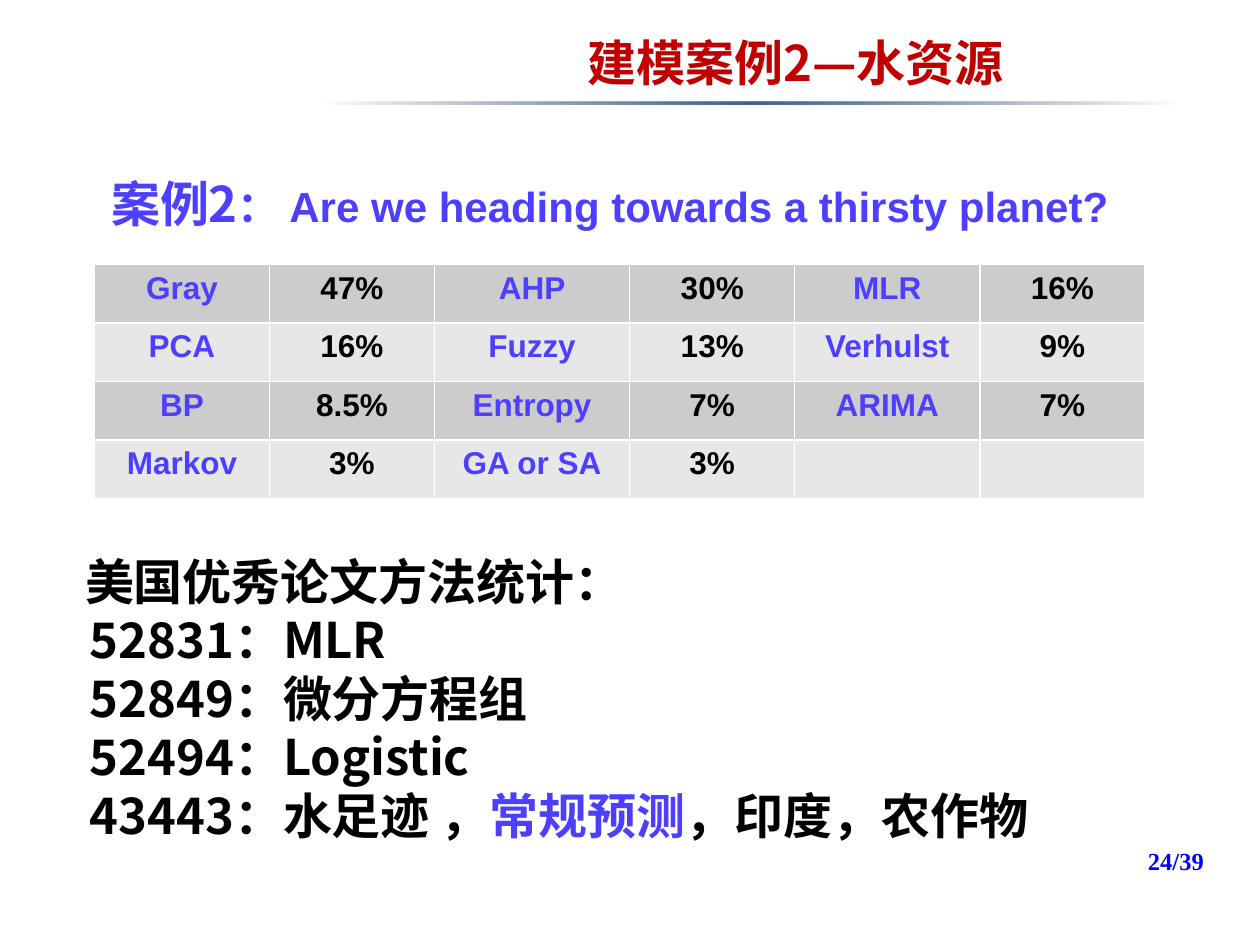
from lxml.etree import SubElement
from pptx import Presentation
from pptx.dml.color import RGBColor
from pptx.enum.shapes import MSO_SHAPE as Shape
from pptx.enum.text import MSO_ANCHOR as Anchor, PP_ALIGN as Align
from pptx.oxml import parse_xml
from pptx.oxml.ns import nsdecls, qn
from pptx.util import Pt

CJK, LATIN, SERIF = "Noto Sans CJK SC", "Arial", "Times New Roman"
VIOLET, BLACK, RED, BLUE = "4D3FFF", "000000", "C00000", "0000FF"
ROW_FILLS = ("CCCCCC", "E7E7E7")
COLUMN_WIDTHS = (100, 94.3, 111.6, 94.3, 105.8, 94.3)
METHOD_SHARES = (
    ("Gray", "47%", "AHP", "30%", "MLR", "16%"),
    ("PCA", "16%", "Fuzzy", "13%", "Verhulst", "9%"),
    ("BP", "8.5%", "Entropy", "7%", "ARIMA", "7%"),
    ("Markov", "3%", "GA or SA", "3%", "", ""),
)
PAPERS = (
    (("52831：MLR", BLACK),),
    (("52849：微分方程组", BLACK),),
    (("52494：Logistic", BLACK),),
    (("43443：水足迹 ，", BLACK), ("常规预测", VIOLET), ("，印度，农作物", BLACK)),
)


def color(hex_code):
    return RGBColor.from_string(hex_code)


def style_run(run, size, face, hex_code):
    font = run.font
    font.size, font.name, font.bold = Pt(size), face, True
    font.color.rgb = color(hex_code)
    for tag in ("a:ea", "a:cs"):
        SubElement(run._r.get_or_add_rPr(), qn(tag)).set("typeface", face)


def add_run(paragraph, text, size, face, hex_code):
    run = paragraph.add_run()
    run.text = text
    style_run(run, size, face, hex_code)


def place(box, left, top, width, height, anchor=Anchor.MIDDLE):
    """Move a text shape and give it a wrapping frame without insets."""
    box.left, box.top, box.width, box.height = map(Pt, (left, top, width, height))
    frame = box.text_frame
    frame.word_wrap = True
    frame.vertical_anchor = anchor
    frame.margin_left = frame.margin_right = 0
    frame.margin_top = frame.margin_bottom = 0
    return frame


def set_indent(paragraph, left):
    """Indent the whole paragraph and drop its bullet."""
    properties = paragraph._p.get_or_add_pPr()
    properties.set("marL", str(Pt(left)))
    properties.set("indent", "0")
    SubElement(properties, qn("a:buNone"))


def add_title(slide):
    frame = place(slide.shapes.title, 234.5, 15, 440, 41)
    title = frame.paragraphs[0]
    title.text = "建模案例2—水资源"
    title.alignment = Align.CENTER
    style_run(title.runs[0], 28, CJK, RED)


def add_title_rule(slide):
    rule = slide.shapes.add_shape(Shape.RECTANGLE, Pt(185), Pt(58), Pt(487.5), Pt(1.75))
    rule.shadow.inherit = False
    rule.line.fill.background()
    stops = "".join(
        f'<a:gs pos="{position}"><a:srgbClr val="{tint}"><a:alpha val="{alpha}"/></a:srgbClr></a:gs>'
        for position, tint, alpha in ((0, "2E4564", 0), (50000, "40608C", 100000), (100000, "2E4564", 0))
    )
    fade = parse_xml(
        f'<a:gradFill {nsdecls("a")}><a:gsLst>{stops}</a:gsLst><a:lin ang="0" scaled="1"/></a:gradFill>'
    )
    rule._element.spPr.find(qn("a:prstGeom")).addnext(fade)


def add_case_heading(slide):
    frame = place(slide.placeholders[1], 63.5, 92, 640, 48)
    heading = frame.paragraphs[0]
    heading.space_before = Pt(0)
    set_indent(heading, 0)
    add_run(heading, "案例2", 28, CJK, VIOLET)
    add_run(heading, "： ", 24, CJK, VIOLET)
    add_run(heading, "Are we heading towards a thirsty planet?", 24, LATIN, VIOLET)


def add_share_table(slide):
    row_height = 33.4
    table = slide.shapes.add_table(
        len(METHOD_SHARES), len(COLUMN_WIDTHS), Pt(54), Pt(151.2),
        Pt(sum(COLUMN_WIDTHS)), Pt(row_height * len(METHOD_SHARES)),
    ).table
    table.first_row = False
    for column, width in zip(table.columns, COLUMN_WIDTHS):
        column.width = Pt(width)
    for row_index, entries in enumerate(METHOD_SHARES):
        table.rows[row_index].height = Pt(row_height)
        for column_index, entry in enumerate(entries):
            cell = table.cell(row_index, column_index)
            cell.fill.solid()
            cell.fill.fore_color.rgb = color(ROW_FILLS[row_index % 2])
            if entry:
                paragraph = cell.text_frame.paragraphs[0]
                paragraph.text = entry
                paragraph.alignment = Align.CENTER
                style_run(paragraph.runs[0], 18, LATIN, (VIOLET, BLACK)[column_index % 2])


def add_paper_list(slide):
    box = slide.shapes.add_textbox(0, 0, 0, 0)
    frame = place(box, 48.6, 315, 640, 168, Anchor.TOP)
    lines = ((("美国优秀论文方法统计：", BLACK),),) + PAPERS
    for index, pieces in enumerate(lines):
        paragraph = frame.add_paragraph() if index else frame.paragraphs[0]
        paragraph.line_spacing = Pt(33.5)
        set_indent(paragraph, 2.7 if index else 0)
        for text, hex_code in pieces:
            add_run(paragraph, text, 28, CJK, hex_code)


def add_page_number(slide):
    box = slide.shapes.add_textbox(0, 0, 0, 0)
    number = place(box, 656, 480, 52, 24).paragraphs[0]
    number.text = "24/39"
    style_run(number.runs[0], 14, SERIF, BLUE)


def main():
    deck = Presentation()
    deck.slide_width, deck.slide_height = Pt(720), Pt(540)
    slide = deck.slides.add_slide(deck.slide_layouts[1])
    add_title_rule(slide)
    add_page_number(slide)
    add_case_heading(slide)
    add_share_table(slide)
    add_paper_list(slide)
    add_title(slide)
    deck.save("out.pptx")


if __name__ == "__main__":
    main()
